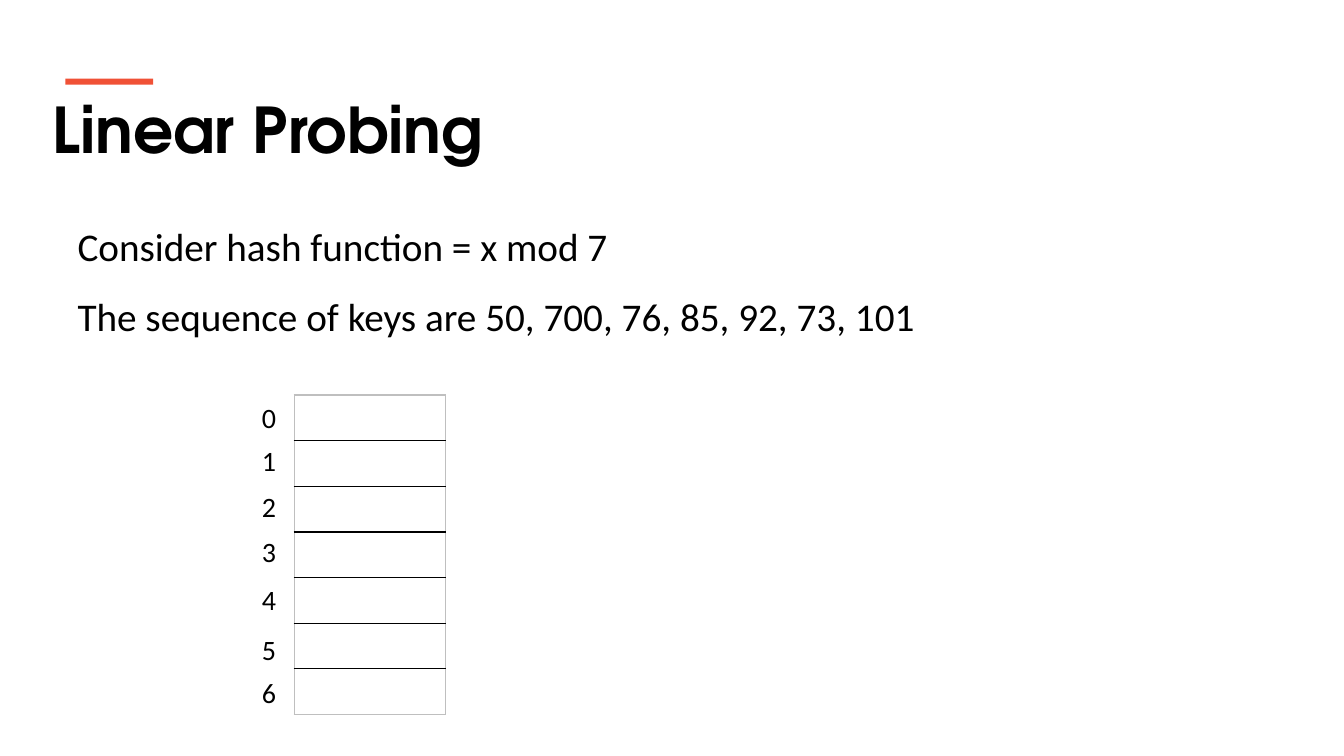
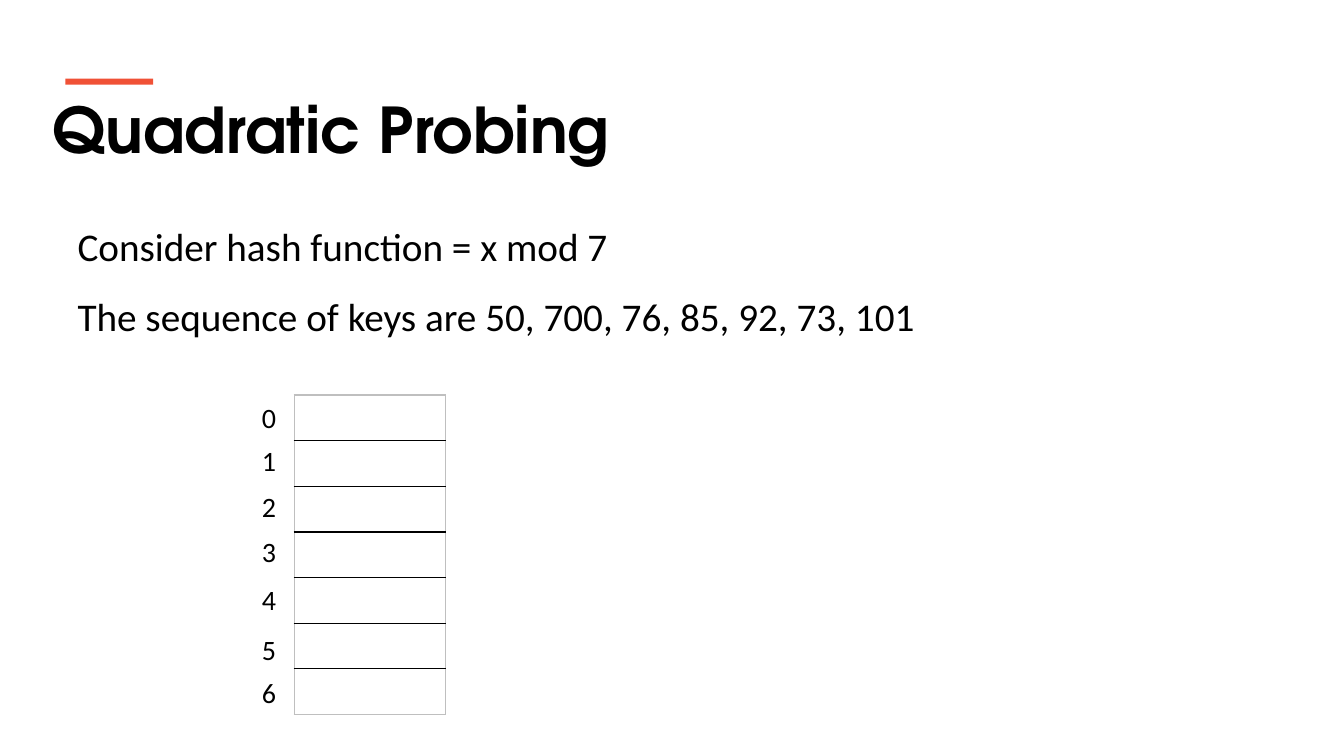
from pptx import Presentation
from pptx.dml.color import RGBColor
from pptx.enum import shapes, text
from pptx.oxml import parse_xml
from pptx.oxml.ns import nsdecls
from pptx.util import Pt

BLACK = RGBColor(0x00, 0x00, 0x00)
GREY = RGBColor(0xBF, 0xBF, 0xBF)
ORANGE = RGBColor(0xF0, 0x51, 0x36)

TITLE_FONT = "TeX Gyre Adventor"
BODY_FONT = "Calibri"
TITLE_AND_CONTENT = 1

TITLES = ("Linear Probing", "Quadratic Probing")
PROBLEM = (
    "Consider hash function = x mod 7",
    "The sequence of keys are 50, 700, 76, 85, 92, 73, 101",
)
INDEX_TOPS = (282.2, 313.2, 346.3, 378, 412.6, 448.6, 478.8)
SLOT_HEIGHT = 32.6


class Deck:
    """Holds the shared style and the slide being built."""

    def __init__(self):
        self.presentation = Presentation()
        self.presentation.slide_width = Pt(960)
        self.presentation.slide_height = Pt(540)
        self.slide = None

    def add_slide(self):
        layout = self.presentation.slide_layouts[TITLE_AND_CONTENT]
        self.slide = self.presentation.slides.add_slide(layout)

    def place(self, shape, left, top, width, height):
        shape.left, shape.top = Pt(left), Pt(top)
        shape.width, shape.height = Pt(width), Pt(height)

    def format_text(self, shape, size, font=BODY_FONT, bold=False):
        for paragraph in shape.text_frame.paragraphs:
            paragraph.alignment = text.PP_ALIGN.LEFT
            for run in paragraph.runs:
                run.font.name = font
                run.font.size = Pt(size)
                run.font.bold = bold
                run.font.color.rgb = BLACK

    def title(self, wording):
        title = self.slide.shapes.title
        self.place(title, 30.2, 60.5, 877, 62)
        frame = title.text_frame
        frame.text = wording
        frame.auto_size = text.MSO_AUTO_SIZE.NONE
        frame.vertical_anchor = text.MSO_ANCHOR.MIDDLE
        self.format_text(title, 45, TITLE_FONT, bold=True)

    def accent_bar(self):
        bar = self.slide.shapes.add_shape(
            shapes.MSO_SHAPE.RECTANGLE, Pt(46.8), Pt(56.2), Pt(62.6), Pt(4.3))
        bar.shadow.inherit = False
        bar.fill.solid()
        bar.fill.fore_color.rgb = ORANGE
        bar.line.fill.background()

    def body(self, lines):
        body = self.slide.placeholders[1]
        self.place(body, 48.2, 138.2, 864, 108.7)
        frame = body.text_frame
        frame.text = "\n".join(lines)
        frame.auto_size = text.MSO_AUTO_SIZE.NONE
        frame.vertical_anchor = text.MSO_ANCHOR.TOP
        for paragraph in frame.paragraphs:
            paragraph.line_spacing = 1.5
            paragraph.space_before = Pt(0)
            properties = paragraph._p.get_or_add_pPr()
            properties.set("marL", "0")
            properties.set("indent", "0")
            properties.append(parse_xml(f"<a:buNone {nsdecls('a')}/>"))
        self.format_text(body, 28)

    def index_label(self, index, top):
        label = self.slide.shapes.add_textbox(Pt(180), Pt(top), Pt(24.5), Pt(31.7))
        label.text_frame.word_wrap = False
        label.text_frame.text = str(index)
        self.format_text(label, 20)

    def border(self, cell, side, color):
        cell._tc.get_or_add_tcPr().append(parse_xml(
            f'<a:{side} {nsdecls("a")} w="{Pt(1)}"><a:solidFill>'
            f'<a:srgbClr val="{color}"/></a:solidFill></a:{side}>'))

    def hash_table(self, slots):
        """Draws one empty column with black rules inside a grey frame."""
        table = self.slide.shapes.add_table(
            slots, 1, Pt(210.2), Pt(282.2), Pt(108), Pt(SLOT_HEIGHT * slots)).table
        table.first_row = table.horz_banding = False
        for row, slot in enumerate(table.rows):
            slot.height = Pt(SLOT_HEIGHT)
            cell = slot.cells[0]
            self.border(cell, "lnL", GREY)
            self.border(cell, "lnR", GREY)
            self.border(cell, "lnT", GREY if row == 0 else BLACK)
            self.border(cell, "lnB", GREY if row == slots - 1 else BLACK)
            cell.fill.background()


def main():
    deck = Deck()
    for title in TITLES:
        deck.add_slide()
        deck.title(title)
        deck.accent_bar()
        deck.body(PROBLEM)
        deck.hash_table(len(INDEX_TOPS))
        for index, top in enumerate(INDEX_TOPS):
            deck.index_label(index, top)
    deck.presentation.save("out.pptx")


if __name__ == "__main__":
    main()
